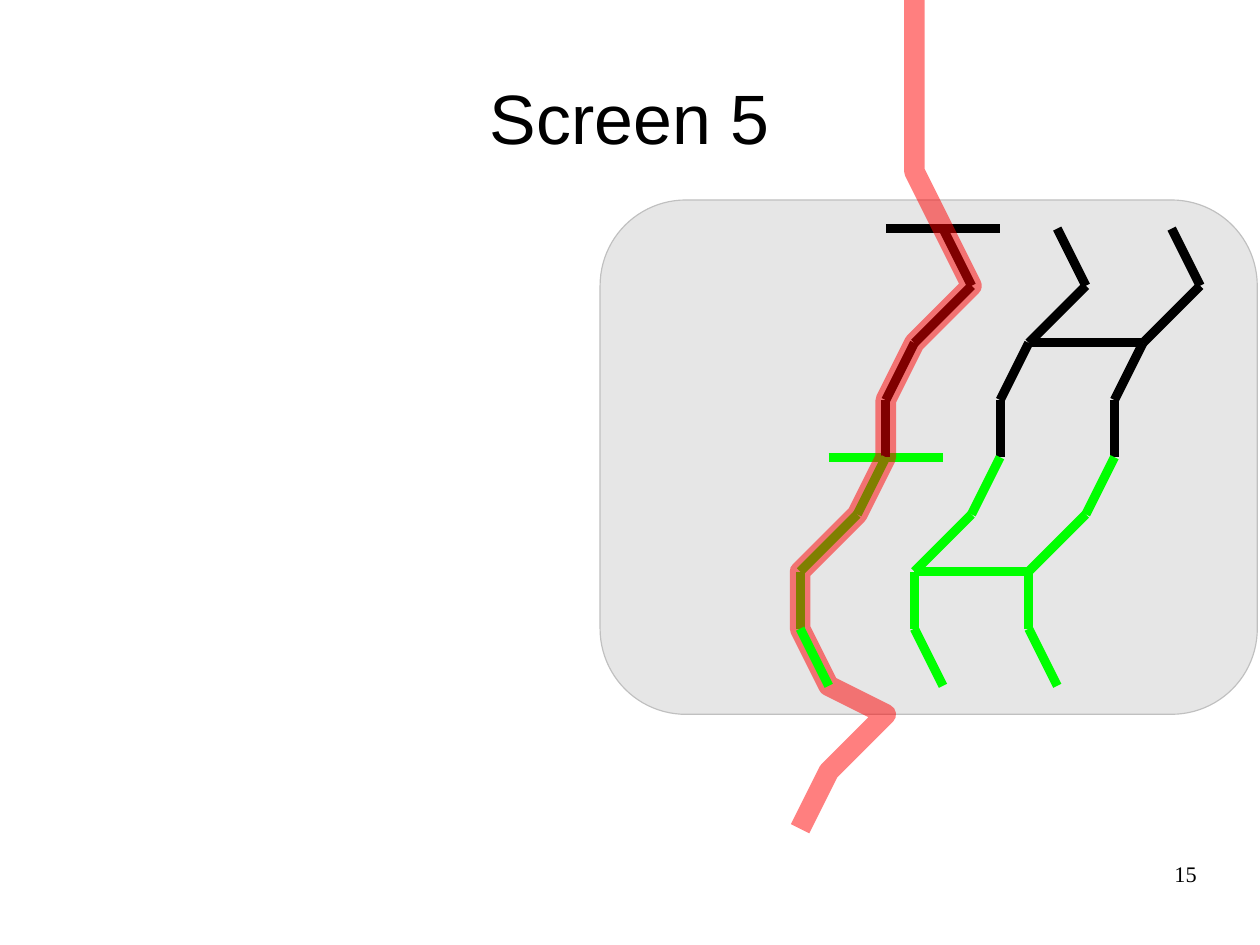
from itertools import pairwise

from lxml import etree
from pptx import Presentation
from pptx import util as u
from pptx.dml.color import RGBColor
from pptx.enum import shapes, text
from pptx.oxml.ns import qn

CM_PER_INCH = 2.54
BLACK, GREEN, RED = "000000", "00FF00", "FF0000"
STRAND = [(8.25, 2), (8.5, 2.5), (8, 3), (7.75, 3.5), (7.75, 4),
          (7.5, 4.5), (7, 5), (7, 5.5), (7.25, 6)]
TRACE = [(8, 0), (8, 0.5), (8, 1), (8, 1.5), *STRAND,
         (7.75, 6.25), (7.25, 6.75), (7, 7.25)]
BARS = [(7.75, 2, BLACK), (9, 3, BLACK), (7.25, 4, GREEN), (8, 5, GREEN)]


def color(value):
    return RGBColor.from_string(value)


class Page:
    stroke = 5.75
    trace_stroke = 12.95

    def __init__(self, deck):
        self.shapes = deck.slides.add_slide(deck.slide_layouts[6]).shapes

    def panel(self, left, top, width, height):
        panel = self.shapes.add_shape(
            shapes.MSO_SHAPE.ROUNDED_RECTANGLE,
            *map(u.Inches, (left, top, width, height)))
        panel.shadow.inherit = False
        panel.fill.solid()
        panel.fill.fore_color.rgb = color("E6E6E6")
        panel.line.color.rgb = color("C0C0C0")
        panel.line.width = 0

    def label(self, content, left, top, width, height, *, size, font, align,
              anchor=text.MSO_ANCHOR.TOP):
        box = self.shapes.add_textbox(
            *map(u.Inches, (left, top, width, height)))
        frame = box.text_frame
        frame.word_wrap = True
        frame.vertical_anchor = anchor
        frame.margin_left = frame.margin_right = 0
        frame.margin_top = frame.margin_bottom = 0
        para = frame.paragraphs[0]
        para.alignment = align
        span = para.add_run()
        span.text = content
        span.font.name = font
        span.font.size = u.Pt(size)
        span.font.color.rgb = color(BLACK)

    def segment(self, start, end, ink):
        line = self.shapes.add_connector(
            shapes.MSO_CONNECTOR.STRAIGHT, *map(u.Inches, (*start, *end)))
        line.line.color.rgb = color(ink)
        line.line.width = u.Pt(self.stroke)
        etree.SubElement(line._element.spPr, qn("a:effectLst"))

    def strand(self, shift, first=0, last=len(STRAND) - 1):
        points = [(x + shift, y) for x, y in STRAND]
        for index, (start, end) in enumerate(pairwise(points)):
            if first <= index < last:
                self.segment(start, end, BLACK if end[1] <= 4 else GREEN)

    def trace(self, points):
        start, *rest = [(u.Inches(x), u.Inches(y)) for x, y in points]
        builder = self.shapes.build_freeform(*start)
        builder.add_line_segments(rest, close=False)
        trace = builder.convert_to_shape()
        trace.shadow.inherit = False
        trace.fill.background()
        trace.line.color.rgb = color(RED)
        trace.line.width = u.Pt(self.trace_stroke)
        outline = trace.line._ln
        ink = outline.find(".//" + qn("a:srgbClr"))
        etree.SubElement(ink, qn("a:alpha"), val="50000")
        etree.SubElement(outline, qn("a:round"))


def main():
    deck = Presentation()
    deck.slide_width = u.Inches(28 / CM_PER_INCH)
    deck.slide_height = u.Inches(21 / CM_PER_INCH)
    page = Page(deck)
    page.panel(5.25, 1.75, 5.75, 4.5)
    page.label("Screen 5", 0.55, 0.33, 9.92, 1.38, size=44, font="Arial",
               align=text.PP_ALIGN.CENTER, anchor=text.MSO_ANCHOR.MIDDLE)
    for left, top, ink in BARS:
        page.segment((left, top), (left + 1, top), ink)
    tail = len(STRAND) - 2
    page.strand(0, last=tail)
    page.trace(TRACE)
    page.strand(0, first=tail)
    for shift in (2, 1):
        page.strand(shift)
    page.label("15", 7.9, 7.53, 2.57, 0.57, size=14, font="Times New Roman",
               align=text.PP_ALIGN.RIGHT)
    deck.save("out.pptx")


if __name__ == "__main__":
    main()
